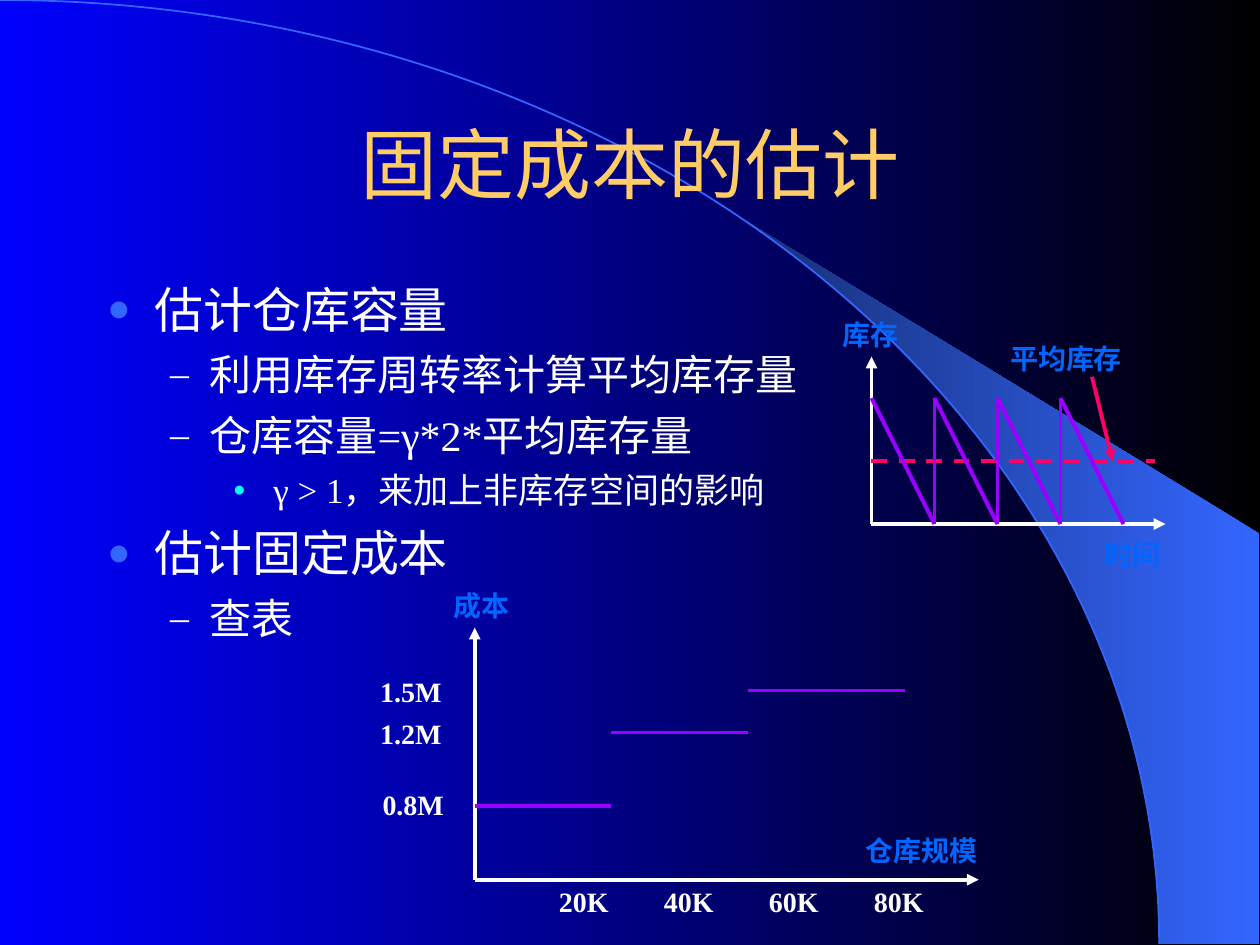
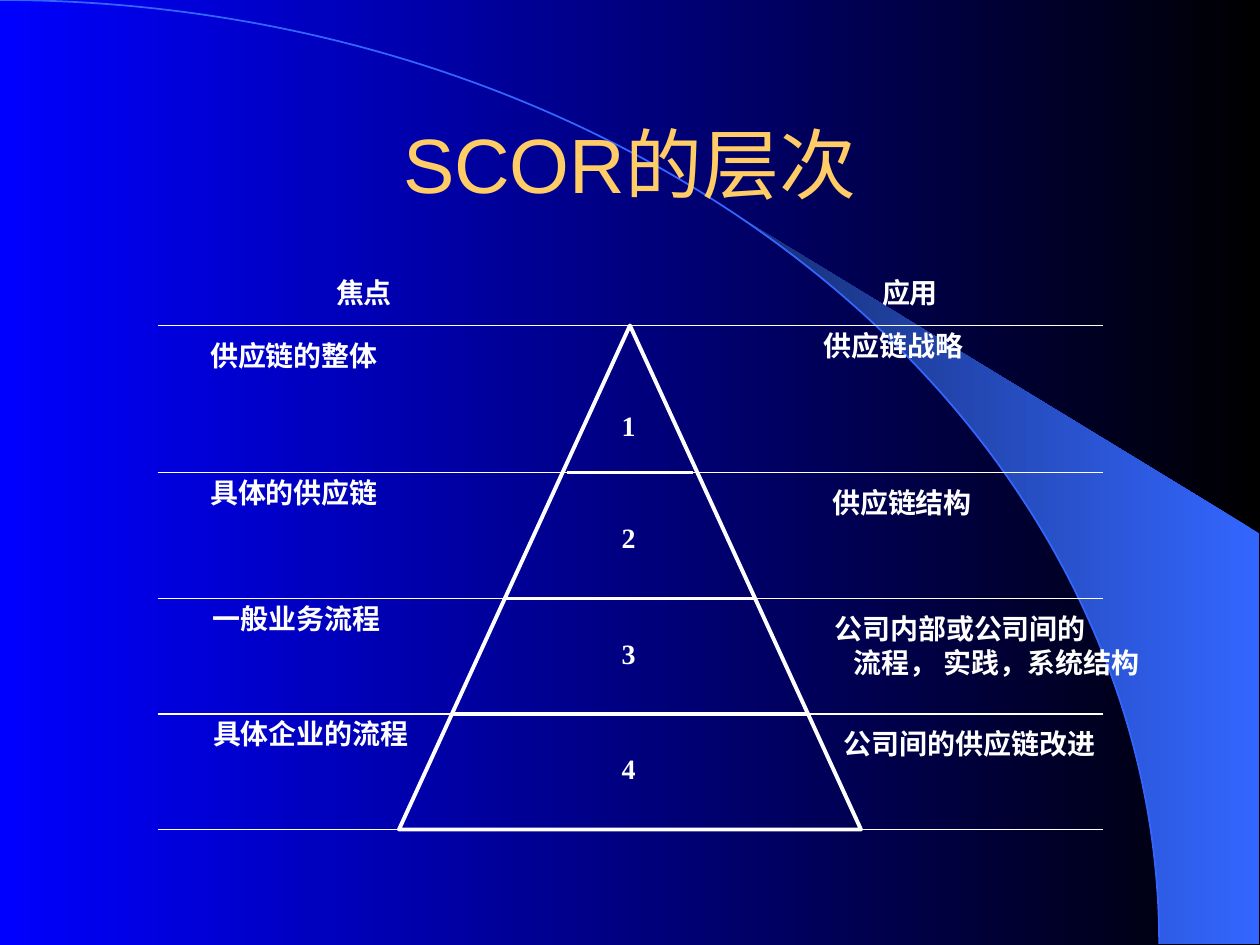
from dataclasses import dataclass
from math import asin, cos, pi, sin

from lxml.etree import SubElement as Sub
from pptx import Presentation
from pptx.dml.color import RGBColor as Rgb
from pptx.enum.dml import MSO_LINE as Dash
from pptx.enum.shapes import MSO_CONNECTOR as Link, MSO_SHAPE as Form
from pptx.enum.text import MSO_ANCHOR as Anchor, MSO_AUTO_SIZE as Fit, PP_ALIGN as Align
from pptx.oxml.ns import qn
from pptx.util import Pt


@dataclass(frozen=True)
class Theme:
    black: Rgb = Rgb(0, 0, 0)
    blue: Rgb = Rgb(0, 0, 255)
    sky: Rgb = Rgb.from_string("3366FF")
    navy: Rgb = Rgb.from_string("172F75")
    gold: Rgb = Rgb.from_string("FFCC66")
    white: Rgb = Rgb.from_string("FFFFFF")
    cyan: Rgb = Rgb.from_string("00FFFF")
    azure: Rgb = Rgb.from_string("0066FF")
    pink: Rgb = Rgb.from_string("FF0066")
    purple: Rgb = Rgb.from_string("9900FF")
    sans: str = "Arial"
    serif: str = "Times New Roman"
    head: float = 44
    note: float = 16
    thick: float = 2.25
    thin: float = 0.75


T = Theme()


@dataclass(frozen=True)
class Stroke:
    x1: float
    y1: float
    x2: float
    y2: float
    tint: Rgb = T.white
    width: float = T.thick
    arrow: bool = False
    dashed: bool = False


@dataclass(frozen=True)
class Label:
    text: str
    x: float
    y: float
    w: float
    tint: Rgb = T.white
    h: float = 26.6


@dataclass(frozen=True)
class Level:
    size: float
    left: float
    hang: float
    gap: float
    mark: str
    tint: Rgb
    scale: int


LEVELS = (
    Level(28, 27, 27, 7, "●", T.sky, 80),
    Level(24, 58.5, 22.5, 6, "–", T.white, 90),
    Level(20, 95, 23, 5, "●", T.cyan, 60),
)


def style(para, size: float, tint: Rgb, face: str, bold: bool = False) -> None:
    for run in para.runs:
        font = run.font
        font.size, font.name, font.bold = Pt(size), face, bold
        font.color.rgb = tint


def place(shape, x: float, y: float, w: float, h: float) -> None:
    shape.left, shape.top, shape.width, shape.height = map(Pt, (x, y, w, h))


def blend(fill, first: Rgb, last: Rgb) -> None:
    fill.gradient()
    fill.gradient_angle = 180
    for stop, tint in zip(fill.gradient_stops, (first, last)):
        stop.color.rgb = tint


def sweep(slide, wide: float, high: float):
    start, count = asin(0.64), 24
    turns = [start + (pi / 2 - start) * i / count for i in range(count + 1)]
    points = [(wide * sin(t), high * (1 - cos(t))) for t in turns]
    points += [(719.3, high), (719.3, 304.6)]
    spots = [(Pt(x), Pt(y)) for x, y in points]
    pen = slide.shapes.build_freeform(*spots[0])
    pen.add_line_segments(spots[1:], close=True)
    return pen.convert_to_shape()


def dress(master, slide) -> None:
    wide, high = 662.4, 539.3
    blend(master.background.fill, T.black, T.blue)
    fan = sweep(slide, wide, high)
    blend(fan.fill, T.sky, T.navy)
    fan.line.fill.background()
    arc = slide.shapes.add_shape(Form.ARC, *map(Pt, (-wide, 0, 2 * wide, 2 * high)))
    arc.fill.background()
    arc.line.color.rgb, arc.line.width = T.sky, Pt(1)
    for spot, shape in enumerate((fan, arc), 2):
        shape.shadow.inherit = False
        master.shapes.element.insert(spot, shape.element)


def title(slide, text: str) -> None:
    shape = slide.shapes.title
    place(shape, 54, 48, 612, 90)
    frame = shape.text_frame
    frame.text = text
    frame.auto_size, frame.vertical_anchor = Fit.NONE, Anchor.MIDDLE
    para = frame.paragraphs[0]
    para.alignment = Align.CENTER
    style(para, T.head, T.gold, T.sans)


def bullet(para, level: Level) -> None:
    props = para._p.get_or_add_pPr()
    props.set("marL", str(Pt(level.left)))
    props.set("indent", str(-Pt(level.hang)))
    Sub(Sub(props, qn("a:buClr")), qn("a:srgbClr")).set("val", str(level.tint))
    Sub(props, qn("a:buSzPct")).set("val", str(level.scale * 1000))
    Sub(props, qn("a:buFont")).set("typeface", T.serif)
    Sub(props, qn("a:buChar")).set("char", level.mark)


def outline(slide, items: list[tuple[int, str]]) -> None:
    shape = slide.placeholders[1]
    place(shape, 54, 156, 612, 324)
    frame = shape.text_frame
    frame.text = "\n".join(text for _, text in items)
    frame.auto_size = Fit.NONE
    for i, (para, (depth, _)) in enumerate(zip(frame.paragraphs, items)):
        level = LEVELS[depth]
        para.level = depth
        bullet(para, level)
        para.space_before = Pt(level.gap if i else 0)
        style(para, level.size, T.white, T.serif)


def draw(slide, strokes: list[Stroke]) -> None:
    for s in strokes:
        ends = map(Pt, (s.x1, s.y1, s.x2, s.y2))
        line = slide.shapes.add_connector(Link.STRAIGHT, *ends)
        line.line.color.rgb, line.line.width = s.tint, Pt(s.width)
        if s.dashed:
            line.line.dash_style = Dash.DASH
        props = line.element.spPr
        if s.arrow:
            Sub(props.find(qn("a:ln")), qn("a:tailEnd")).set("type", "triangle")
        Sub(props, qn("a:effectLst"))


def write(slide, labels: list[Label]):
    for note in labels:
        box = slide.shapes.add_textbox(*map(Pt, (note.x, note.y, note.w, note.h)))
        frame = box.text_frame
        frame.text = note.text
        frame.word_wrap, frame.auto_size = False, Fit.SHAPE_TO_FIT_TEXT
        for para in frame.paragraphs:
            style(para, T.note, note.tint, T.serif, True)
    return frame


def axes(x: float, y: float, top: float, right: float) -> list[Stroke]:
    return [Stroke(x, y, x, top, arrow=True), Stroke(x, y, right, y, arrow=True)]


def stock(slide) -> None:
    left, low, high, pitch = 498, 299.5, 227.5, 36
    mean = (low + high) / 2
    draw(slide, axes(left, low, 203.8, 666))
    draw(slide, [Stroke(left, mean, 660, mean, T.pink, dashed=True)])
    for i in range(4):
        x = left + pitch * i
        if i:
            draw(slide, [Stroke(x, low, x, high, T.purple)])
        draw(slide, [Stroke(x, high, x + pitch, low, T.purple)])
    write(slide, [
        Label("库存", 474.5, 177.8, 47, T.azure),
        Label("平均库存", 570.2, 191.5, 79, T.azure),
        Label("时间", 624.2, 303.5, 47, T.azure),
    ])
    draw(slide, [Stroke(624, 215.3, 635.8, mean, T.pink, arrow=True)])


def steps(slide) -> None:
    left, low = 271.3, 502.7
    draw(slide, axes(left, low, 358.7, 559.3))
    stops = (left, 349.2, 427.2, 517.2)
    for x1, x2, y in zip(stops, stops[1:], (460.6, 418.6, 394.6)):
        draw(slide, [Stroke(x1, y, x2, y, T.purple)])
    write(slide, [
        Label("1.5M", 210.2, 382, 51),
        Label("1.2M", 210.2, 406, 51),
        Label("0.8M", 211.5, 446.4, 51),
        Label("成本", 252, 332.6, 47, T.azure),
        Label("仓库规模", 487.4, 472.6, 79, T.azure),
    ])
    write(slide, [Label(f"{20 + 20 * i}K", 312.3 + 60 * i, 502, 45) for i in range(4)])


def pyramid(slide) -> None:
    rows = (186, 270, 342, 408, 474)
    peak = slide.shapes.add_shape(Form.ISOSCELES_TRIANGLE, *map(Pt, (228, 186, 264, 288)))
    peak.shadow.inherit = False
    peak.fill.background()
    peak.line.color.rgb, peak.line.width = T.white, Pt(T.thick)
    draw(slide, [Stroke(360 - half, y, 360 + half, y)
                 for half, y in zip((36, 72, 102), rows[1:])])
    write(slide, [Label(str(i), 348.1, y, 23)
                  for i, y in enumerate((229.7, 293.8, 360, 426.2), 1)])
    draw(slide, [Stroke(90, y, 630, y, width=T.thin) for y in rows])
    write(slide, [
        Label("焦点", 185, 154.1, 47),
        Label("应用", 497, 154.1, 47),
        Label("供应链的整体", 113, 190.1, 111.5),
        Label("具体的供应链", 113, 268.2, 111.5),
        Label("一般业务流程", 114.5, 340.2, 111.5),
        Label("具体企业的流程", 114.7, 406.1, 127.5),
        Label("供应链战略", 463.5, 184, 95.5),
        Label("供应链结构", 468.5, 274, 95.5),
        Label("公司间的供应链改进", 475.2, 411.8, 160),
    ])
    frame = write(slide, [Label("公司内部或公司间的\n流程， 实践，系统结构", 469.8, 346, 193, h=46.1)])
    frame.paragraphs[1]._p.get_or_add_pPr().set("marL", str(Pt(11)))


def main() -> None:
    deck = Presentation()
    deck.slide_width, deck.slide_height = Pt(720), Pt(540)
    cost = deck.slides.add_slide(deck.slide_layouts[1])
    dress(deck.slide_master, cost)
    title(cost, "固定成本的估计")
    outline(cost, [
        (0, "估计仓库容量"),
        (1, "利用库存周转率计算平均库存量"),
        (1, "仓库容量=γ*2*平均库存量"),
        (2, "γ > 1，来加上非库存空间的影响"),
        (0, "估计固定成本"),
        (1, "查表"),
    ])
    stock(cost)
    steps(cost)
    scor = deck.slides.add_slide(deck.slide_layouts[5])
    title(scor, "SCOR的层次")
    pyramid(scor)
    deck.save("out.pptx")


if __name__ == "__main__":
    main()
